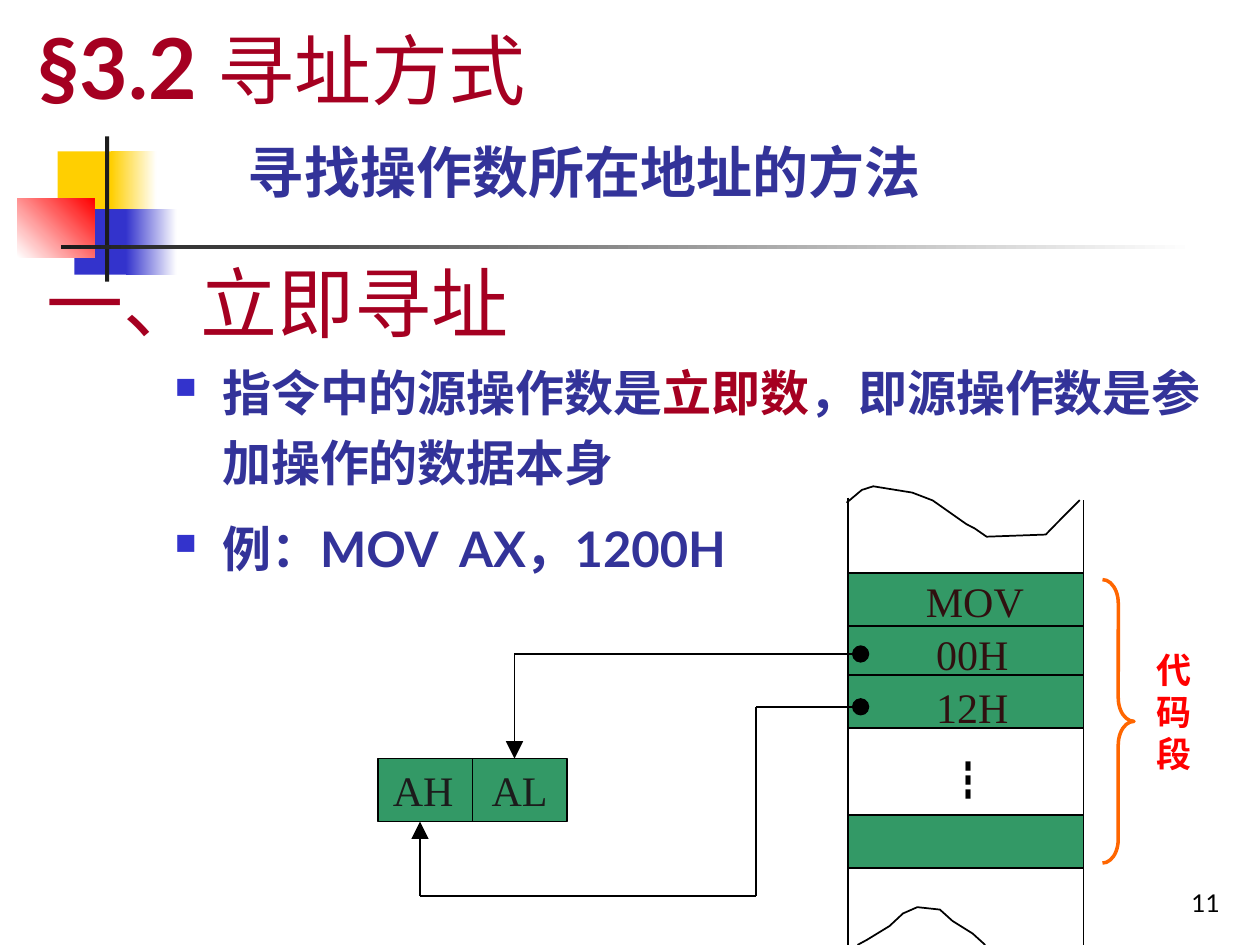
"""Build the slide on immediate addressing with its memory diagram."""
from lxml import etree
from pptx import Presentation
from pptx.dml.color import RGBColor
from pptx.enum.shapes import MSO_CONNECTOR, MSO_SHAPE
from pptx.enum.text import MSO_ANCHOR, PP_ALIGN
from pptx.oxml.ns import qn
from pptx.util import Pt

BLACK = RGBColor(0x00, 0x00, 0x00)
WHITE = RGBColor(0xFF, 0xFF, 0xFF)
DARK = RGBColor(0x1C, 0x1C, 0x1C)
BROWN = RGBColor(0x30, 0x10, 0x10)
CRIMSON = RGBColor(0xA5, 0x00, 0x21)
RED = RGBColor(0xFF, 0x00, 0x00)
ORANGE = RGBColor(0xFF, 0x66, 0x00)
YELLOW = RGBColor(0xFF, 0xCF, 0x01)
BLUE = RGBColor(0x33, 0x33, 0xCC)
NAVY = RGBColor(0x33, 0x33, 0x99)
GREEN = RGBColor(0x33, 0x99, 0x66)
LATO, CJK, TIMES = "Lato", "Noto Sans CJK SC", "Times New Roman"

prs = Presentation()
prs.slide_width, prs.slide_height = Pt(720), Pt(540)
s = prs.slides.add_slide(prs.slide_layouts[6])


def add_rect(x, y, w, h, color, end=None, angle=0, line=None):
    sp = s.shapes.add_shape(MSO_SHAPE.RECTANGLE, Pt(x), Pt(y), Pt(w), Pt(h))
    sp.shadow.inherit = False
    if end is None:
        sp.fill.solid()
        sp.fill.fore_color.rgb = color
    else:
        sp.fill.gradient()
        sp.fill.gradient_angle = angle
        for stop, rgb in zip(sp.fill.gradient_stops, (color, end)):
            stop.color.rgb = rgb
    if line is None:
        sp.line.fill.background()
    else:
        sp.line.color.rgb = line
        sp.line.width = Pt(1)
    return sp


def add_text(x, y, w, h, paras, anchor=MSO_ANCHOR.TOP, **fmt):
    tf = s.shapes.add_textbox(Pt(x), Pt(y), Pt(w), Pt(h)).text_frame
    tf.word_wrap = True
    tf.vertical_anchor = anchor
    for i, runs in enumerate(paras):
        p = tf.paragraphs[0] if i == 0 else tf.add_paragraph()
        for key, value in fmt.items():
            setattr(p, key, value)
        for text, name, size, color, bold in runs:
            r = p.add_run()
            r.text = text
            font = {"name": name, "size": Pt(size), "bold": bold}
            for key, value in font.items():
                setattr(r.font, key, value)
            r.font.color.rgb = color
            etree.SubElement(r._r.get_or_add_rPr(), qn("a:ea"), typeface=CJK)
    return tf


for block in [
    (33, 86.5, 34.5, 37.5, YELLOW),
    (63.5, 86.5, 26, 37.5, YELLOW, WHITE),
    (42.5, 119.5, 33, 37.5, BLUE),
    (72, 119.5, 29, 37.5, BLUE, WHITE),
    (10, 113.5, 44, 33.5, WHITE, RED, 45),
    (60, 78, 2.4, 83, DARK),
    (34.8, 140, 648, 2.5, DARK, WHITE),
]:
    add_rect(*block)

add_text(554.4, 491.8, 149.8, 36, [[("11", LATO, 14, BLACK, False)]],
         MSO_ANCHOR.BOTTOM, alignment=PP_ALIGN.RIGHT)
add_text(14.4, 3.6, 613.4, 66.2,
         [[("§3.2 ", LATO, 48, CRIMSON, True), ("寻址方式", CJK, 44, CRIMSON, False)]],
         MSO_ANCHOR.BOTTOM)
add_text(127.4, 71.3, 432, 174.2,
         [[(" 寻找操作数所在地址的方法", LATO, 32, NAVY, True)]], line_spacing=1.1)
add_text(19.4, 87.1, 613.4, 115.2, [[("一、立即寻址", LATO, 44, CRIMSON, False)]],
         MSO_ANCHOR.BOTTOM)

tf = add_text(92.9, 196.6, 612, 149.8, [
    [("指令中的源操作数是", LATO, 28, NAVY, True),
     ("立即数", LATO, 28, CRIMSON, True),
     ("，即源操作数是参加操作的数据本身", LATO, 28, NAVY, True)],
    [("例：MOV  AX，1200H", LATO, 28, NAVY, True)],
], line_spacing=1.2, space_after=Pt(1.8))
tf.paragraphs[1].space_before = Pt(7)
for p in tf.paragraphs:
    pPr = p._p.get_or_add_pPr()
    pPr.set("marL", str(Pt(27)))
    pPr.set("indent", str(-Pt(27)))
    clr = etree.SubElement(pPr, qn("a:buClr"))
    etree.SubElement(clr, qn("a:srgbClr"), val=str(BLUE))
    etree.SubElement(pPr, qn("a:buSzPct"), val="60000")
    etree.SubElement(pPr, qn("a:buChar"), char="■")

LEFT, RIGHT = 484.5, 619.2
for y in (327.6, 357.8, 385.9, 465.8):
    add_rect(LEFT, y, RIGHT - LEFT, 30.2, GREEN, line=BLACK)
register = add_rect(216, 433.5, 108, 36, GREEN, line=BLACK)

for x1, y1, x2, y2, end, kind in [
    (LEFT, 284.4, LEFT, 540, None, None),
    (RIGHT, 285.8, RIGHT, 540, None, None),
    (491.8, 403.9, 432, 403.9, "headEnd", "oval"),
    (432, 403.9, 432, 511.9, None, None),
    (432, 511.9, 240, 511.9, None, None),
    (240, 511.9, 240, 469.5, "tailEnd", "triangle"),
    (491.8, 373.7, 294, 373.7, "headEnd", "oval"),
    (294, 373.7, 294, 433.5, "tailEnd", "triangle"),
    (270, 433.5, 270, 469.5, None, None),
]:
    cn = s.shapes.add_connector(MSO_CONNECTOR.STRAIGHT, Pt(x1), Pt(y1), Pt(x2), Pt(y2))
    cn.line.color.rgb = BLACK
    cn.line.width = Pt(1)
    if end:
        etree.SubElement(cn.line._get_or_add_ln(), qn(f"a:{end}"),
                         type=kind, w="lg", len="lg")
    etree.SubElement(cn._element.spPr, qn("a:effectLst"))
    if x1 == x2 == 270:
        cn.begin_connect(register, 0)
        cn.end_connect(register, 2)

TOP_WAVE = [(483.8, 287.3), (492.5, 280), (499, 277.9), (521.3, 281.5), (533, 286),
            (552.2, 299.5), (557, 302), (563.8, 306.7), (597.6, 305.5), (603.4, 299.5),
            (617, 285.8)]
BOTTOM_WAVE = [(490, 540), (495.4, 537.1), (508.3, 529.2), (516, 522), (524.2, 518.4),
               (537.1, 519.8), (544.3, 526.3), (555.8, 533.5), (563, 540)]
for wave in (TOP_WAVE, BOTTOM_WAVE):
    points = [(Pt(x), Pt(y)) for x, y in wave]
    fb = s.shapes.build_freeform(*points[0])
    fb.add_line_segments(points[1:], close=False)
    sp = fb.convert_to_shape()
    sp.shadow.inherit = False
    sp.fill.background()
    sp.line.color.rgb = BLACK
    sp.line.width = Pt(1)

for x, y, w, h, text, name, size, color, bold in [
    (522, 325.4, 77.8, 36, "MOV", TIMES, 24, BROWN, False),
    (527.8, 355.7, 66.2, 36, "00H", TIMES, 24, BROWN, False),
    (527.8, 385.9, 66.2, 36, "12H", TIMES, 24, BROWN, False),
    (534.2, 427.7, 48.2, 36, "┇", CJK, 24, BLACK, False),
    (653.8, 367.2, 36, 79.2, "代码段", TIMES, 20, RED, True),
]:
    add_text(x, y, w, h, [[(text, name, size, color, bold)]])

tf = add_text(217.4, 433.5, 120.2, 36, [[("AH\tAL", TIMES, 24, DARK, False)]])
tabs = etree.SubElement(tf.paragraphs[0]._p.get_or_add_pPr(), qn("a:tabLst"))
etree.SubElement(tabs, qn("a:tab"), pos=str(Pt(56.5)), algn="l")

brace = s.shapes.add_shape(MSO_SHAPE.RIGHT_BRACE, Pt(630), Pt(331.2), Pt(18), Pt(162))
brace.shadow.inherit = False
brace.adjustments[0] = 0.75
brace.fill.background()
brace.line.color.rgb = ORANGE
brace.line.width = Pt(2)

prs.save("out.pptx")
